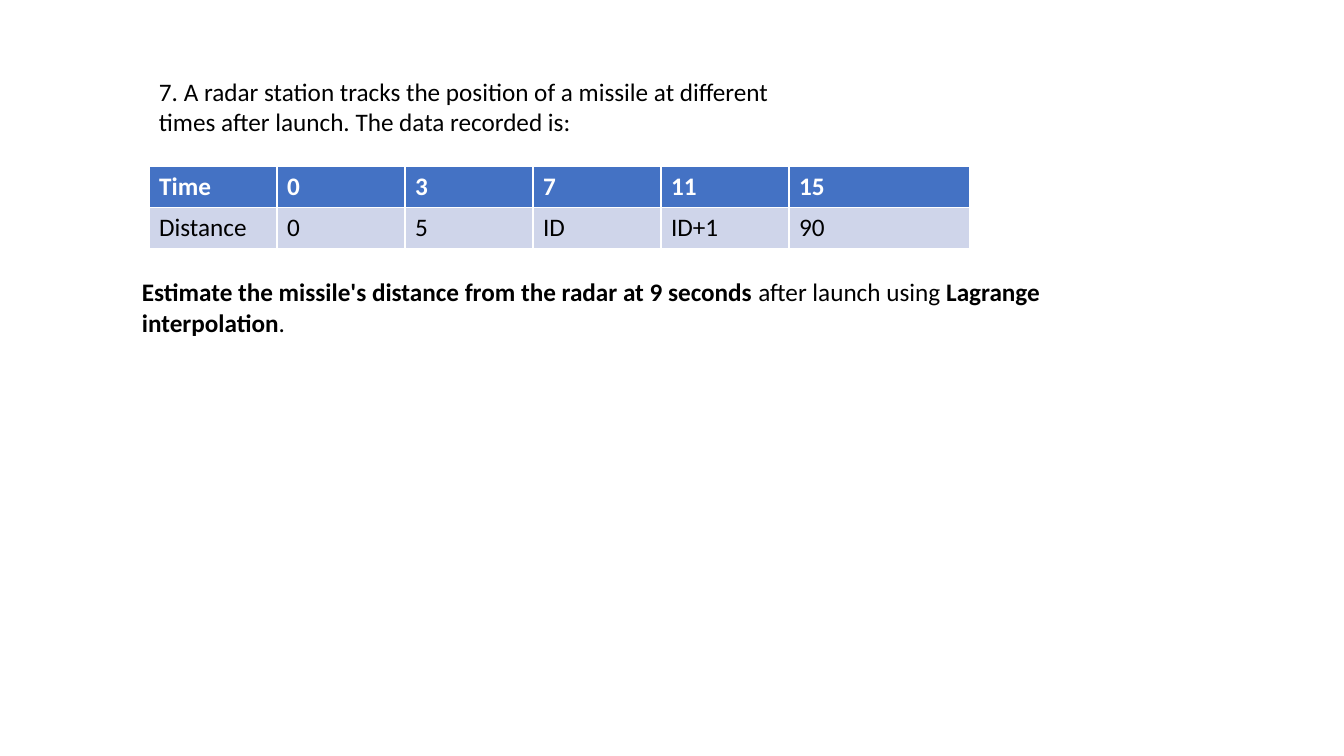
from pptx import Presentation
from pptx.dml.color import RGBColor
from pptx.enum.text import MSO_AUTO_SIZE
from pptx.util import Pt

FONT = "Calibri"
BLACK, WHITE = "000000", "FFFFFF"
HEADER_FILL, BODY_FILL = "4472C4", "CFD5EA"

QUESTION = [("7. A radar station tracks the position of a missile at different "
             "times after launch. The data recorded is:", False)]
TASK = [
    ("Estimate the missile's distance from the radar at 9 seconds", True),
    (" after launch using ", False),
    ("Lagrange interpolation", True),
    (".", False),
]
READINGS = [
    ["Time", "0", "3", "7", "11", "15"],
    ["Distance", "0", "5", "ID", "ID+1", "90"],
]


def colour(value):
    return RGBColor.from_string(value)


def add_span(para, text, bold, ink):
    span = para.add_run()
    span.text = text
    span.font.name = FONT
    span.font.size = Pt(18)
    span.font.bold = bold
    span.font.color.rgb = colour(ink)


def add_paragraph_box(page, left, top, width, height, spans):
    box = page.shapes.add_textbox(Pt(left), Pt(top), Pt(width), Pt(height))
    frame = box.text_frame
    frame.word_wrap = True
    frame.auto_size = MSO_AUTO_SIZE.SHAPE_TO_FIT_TEXT
    for text, bold in spans:
        add_span(frame.paragraphs[0], text, bold, BLACK)


def add_readings_table(page, left, top, width, height):
    """The last column takes the width left over by the equal ones."""
    rows, columns = len(READINGS), len(READINGS[0])
    table = page.shapes.add_table(
        rows, columns, Pt(left), Pt(top), Pt(width), Pt(height)).table
    column_width = 91.44
    for column in table.columns:
        column.width = Pt(column_width)
    table.columns[columns - 1].width = Pt(width - column_width * (columns - 1))
    for row, values in enumerate(READINGS):
        header = row == 0
        for column, value in enumerate(values):
            cell = table.cell(row, column)
            cell.fill.solid()
            cell.fill.fore_color.rgb = colour(HEADER_FILL if header else BODY_FILL)
            add_span(cell.text_frame.paragraphs[0], value, header,
                     WHITE if header else BLACK)


def main():
    deck = Presentation()
    deck.slide_width, deck.slide_height = Pt(960), Pt(540)
    page = deck.slides.add_slide(deck.slide_layouts[6])
    add_paragraph_box(page, 106.5, 51, 479.5, 51, QUESTION)
    add_readings_table(page, 106.5, 119, 586, 58.4)
    add_paragraph_box(page, 94.3, 194, 723, 51, TASK)
    deck.save("out.pptx")


if __name__ == "__main__":
    main()
